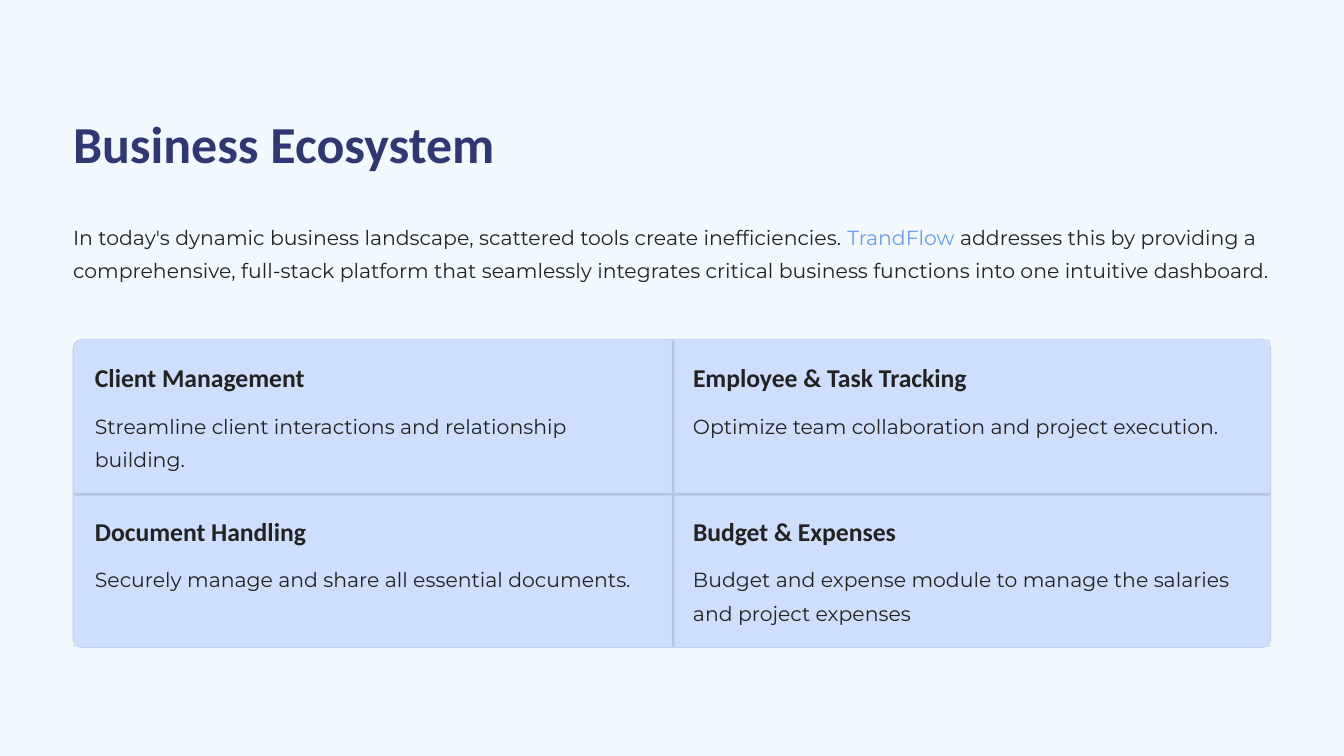
from pptx import Presentation
from pptx.dml.color import RGBColor
from pptx.enum.shapes import MSO_SHAPE
from pptx.util import Inches, Pt

RECT = MSO_SHAPE.RECTANGLE
ROUNDED = MSO_SHAPE.ROUNDED_RECTANGLE

COLORS = {
    "background": "F2F9FF",
    "title": "2F3774",
    "text": "222222",
    "accent": "6A9DF9",
    "panel": "CEDFFD",
    "divider": "B4C5E3",
}

STYLES = {
    "title": ("Calibri", 44.5, 55.5, True),
    "heading": ("Calibri", 22, 27.5, True),
    "body": ("Montserrat", 17.5, 28.5, False),
}

INTRO = [
    ("In today's dynamic business landscape, scattered tools create inefficiencies. ", "text"),
    ("TrandFlow", "accent"),
    (" addresses this by providing a comprehensive, full-stack platform that seamlessly "
     "integrates critical business functions into one intuitive dashboard.", "text"),
]

FUNCTIONS = [
    ("Client Management", "Streamline client interactions and relationship building."),
    ("Employee & Task Tracking", "Optimize team collaboration and project execution."),
    ("Document Handling", "Securely manage and share all essential documents."),
    ("Budget & Expenses", "Budget and expense module to manage the salaries and project expenses"),
]

MARGIN, CONTENT_WIDTH = 0.87, 14.26
GRID_LEFT, GRID_TOP = 0.88, 4.04
CELL_WIDTH, CELL_HEIGHT = 7.12, 1.83
DIVIDER = 0.03


class SlideBuilder:
    def __init__(self, slide, colors, styles):
        self.slide = slide
        self.colors = colors
        self.styles = styles

    def color(self, name):
        return RGBColor.from_string(self.colors[name])

    def background(self, name):
        fill = self.slide.background.fill
        fill.solid()
        fill.fore_color.rgb = self.color(name)

    def text(self, left, top, width, height, style, runs, wrap=True):
        box = self.slide.shapes.add_textbox(
            Inches(left), Inches(top), Inches(width), Inches(height))
        frame = box.text_frame
        frame.margin_left = frame.margin_right = 0
        frame.margin_top = frame.margin_bottom = 0
        frame.word_wrap = wrap
        font_name, size, line_height, bold = self.styles[style]
        paragraph = frame.paragraphs[0]
        paragraph.line_spacing = Pt(line_height)
        for words, color in runs:
            run = paragraph.add_run()
            run.text = words
            run.font.name = font_name
            run.font.size = Pt(size)
            run.font.bold = bold
            run.font.color.rgb = self.color(color)

    def block(self, left, top, width, height, fill, radius=None, outline=None):
        shape = self.slide.shapes.add_shape(
            RECT if radius is None else ROUNDED,
            Inches(left), Inches(top), Inches(width), Inches(height))
        shape.shadow.inherit = False
        if radius is not None:
            shape.adjustments[0] = radius
        shape.fill.solid()
        shape.fill.fore_color.rgb = self.color(fill)
        if outline:
            shape.line.color.rgb = self.color(outline)
            shape.line.width = Pt(0.6)
        else:
            shape.line.fill.background()

    def cell(self, row, column, heading, description):
        left = GRID_LEFT + column * CELL_WIDTH
        top = GRID_TOP + row * CELL_HEIGHT
        is_first = row == column == 0
        self.block(left, top, CELL_WIDTH, CELL_HEIGHT, "panel", 0.06 if is_first else None)
        if column:
            self.block(left, top, DIVIDER, CELL_HEIGHT, "divider", 0.5)
        if row:
            self.block(left, top, CELL_WIDTH, DIVIDER, "divider", 0.5)
        text_left = left + 0.25
        self.text(text_left, top + 0.25, 4.15, 0.39, "heading", [(heading, "text")], wrap=False)
        self.text(text_left, top + 0.78, 6.63, 0.79, "body", [(description, "text")])


def main():
    presentation = Presentation()
    presentation.slide_width = Inches(16)
    presentation.slide_height = Inches(9)
    slide = presentation.slides.add_slide(presentation.slide_layouts[6])

    builder = SlideBuilder(slide, COLORS, STYLES)
    builder.background("background")
    builder.text(MARGIN, 1.3, 6.4, 0.78, "title", [("Business Ecosystem", "title")], wrap=False)
    builder.text(MARGIN, 2.57, CONTENT_WIDTH, 1.19, "body", INTRO)
    builder.block(MARGIN, GRID_TOP, CONTENT_WIDTH, 3.67, "panel", 0.03, "divider")
    for index, (heading, description) in enumerate(FUNCTIONS):
        row, column = divmod(index, 2)
        builder.cell(row, column, heading, description)

    presentation.save("out.pptx")


if __name__ == "__main__":
    main()
